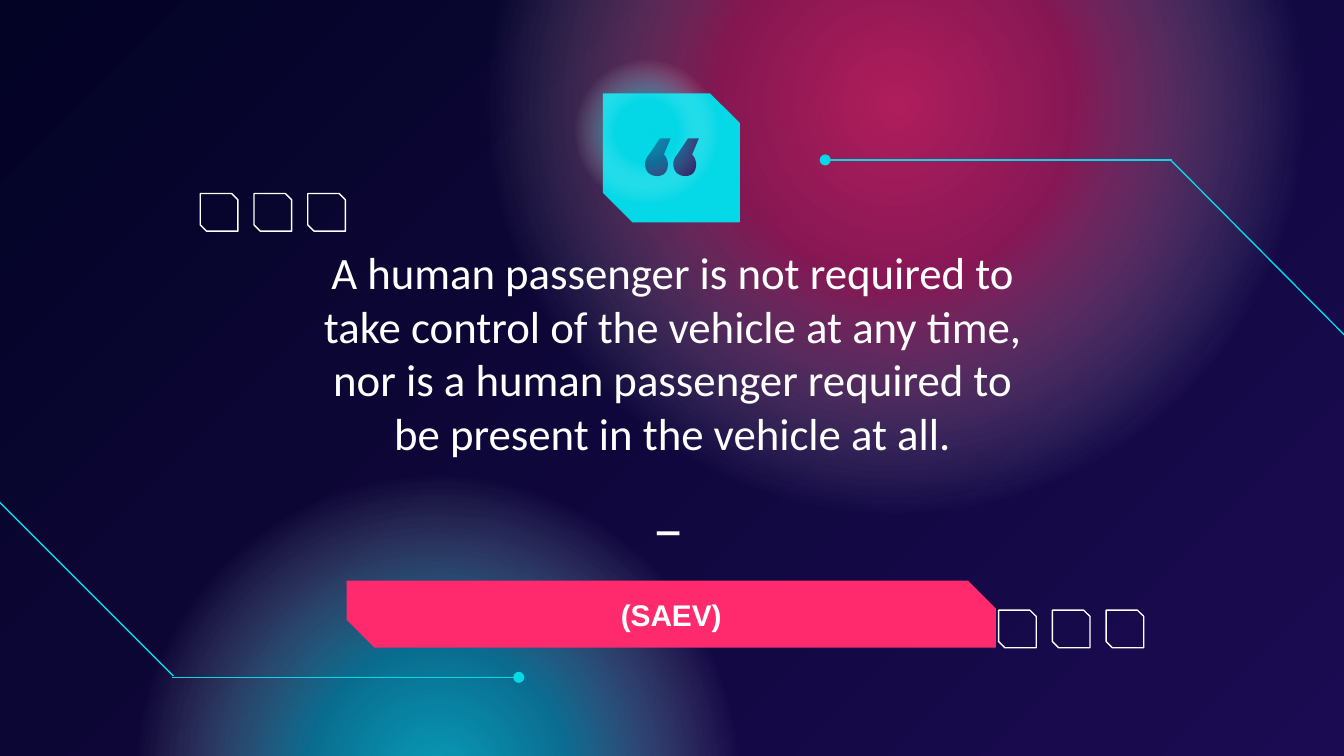
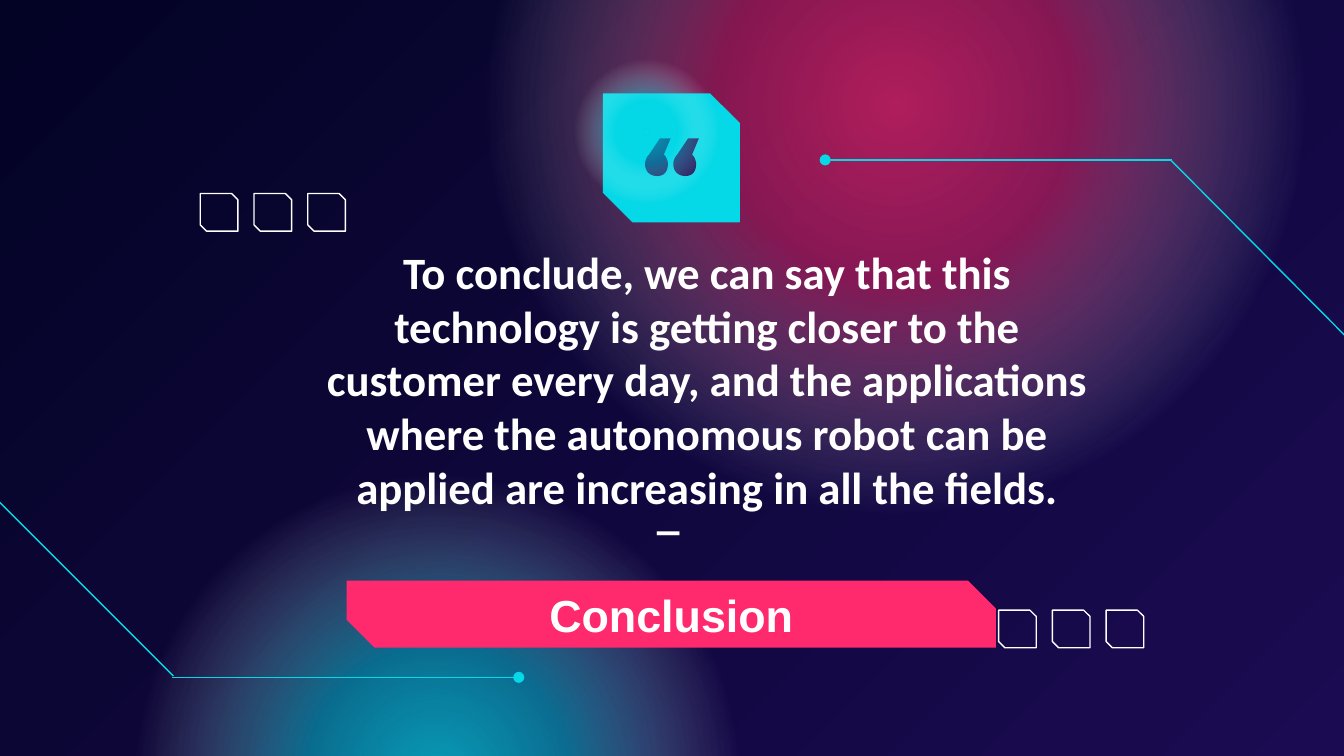
from pptx import Presentation
from pptx.dml.color import RGBColor
from pptx.enum.shapes import MSO_CONNECTOR, MSO_SHAPE
from pptx.enum.text import MSO_ANCHOR, PP_ALIGN
from pptx.oxml import parse_xml
from pptx.oxml.ns import nsdecls, qn
from pptx.util import Inches, Pt
from lxml import etree

NIGHT = RGBColor(0x03, 0x03, 0x25)
INDIGO = RGBColor(0x1B, 0x0B, 0x52)
PINK = RGBColor(0xFF, 0x29, 0x6D)
CYAN = RGBColor(0x05, 0xD8, 0xE7)
WHITE = RGBColor(0xFF, 0xFF, 0xFF)

CONTENT = [
    dict(quote="A human passenger is not required to take control of the vehicle at any time, "
               "nor is a human passenger required to be present in the vehicle at all.",
         quote_width=5.43, quote_bold=False, label="(SAEV)", label_size=16),
    dict(quote="To conclude, we can say that this technology is getting closer to the customer "
               "every day, and the applications where the autonomous robot can be applied are "
               "increasing in all the fields.",
         quote_width=5.94, quote_bold=True, label="Conclusion", label_size=24),
]

# Background glows: left, top, diameter, colour, opacity at centre and at 30 %
GLOWS = [(3.54, -2.35, 6.25, PINK, 67, 49), (0.95, 3.48, 4.6, CYAN, 71, 48)]
BADGE_GLOW = (4.26, 0.43, 1.1, CYAN, 71, 48)

# Circuit lines: start, end, dot at the end
CIRCUITS = [
    ((10.03, 2.52), (8.71, 1.19), False),
    ((8.72, 1.19), (6.14, 1.19), True),
    ((-0.03, 3.71), (1.29, 5.03), False),
    ((1.28, 5.04), (3.86, 5.04), True),
]

# Quote mark: top left corner, then the curves of its bulb, then top right corner
MARK_START, MARK_END = (4.91, 1.03), (4.99, 1.03)
BULB = [
    [(4.83, 1.15), (4.81, 1.17), (4.8, 1.2), (4.8, 1.22)],
    [(4.8, 1.22), (4.8, 1.28), (4.84, 1.31), (4.89, 1.31)],
    [(4.89, 1.31), (4.94, 1.31), (4.97, 1.28), (4.97, 1.22)],
    [(4.97, 1.22), (4.97, 1.2), (4.96, 1.17), (4.94, 1.15)],
]
MARK_STEP = 0.21
CURVE_STEPS = 8


def write(frame, text, font="Arial", size=16, bold=True, anchor=MSO_ANCHOR.MIDDLE,
          leading=None, after=0):
    frame.word_wrap = True
    frame.vertical_anchor = anchor
    frame.margin_left = frame.margin_right = Inches(0.1)
    frame.margin_top = frame.margin_bottom = Inches(0.1)
    paragraph = frame.paragraphs[0]
    paragraph.alignment = PP_ALIGN.CENTER
    paragraph.space_after = Pt(after)
    if leading:
        paragraph.line_spacing = Pt(leading)
    run = paragraph.add_run()
    run.text = text
    run.font.name = font
    run.font.size = Pt(size)
    run.font.bold = bold
    run.font.color.rgb = WHITE


def add_preset(slide, kind, left, top, width, height, fill=None, line=None, snip=None, glow=None):
    shape = slide.shapes.add_shape(kind, Inches(left), Inches(top), Inches(width), Inches(height))
    shape.shadow.inherit = False
    if snip:
        shape.adjustments[0] = 0
        shape.adjustments[1] = snip
    if line:
        shape.line.color.rgb = line
        shape.line.width = Pt(0.75)
    else:
        shape.line.fill.background()
    if fill:
        shape.fill.solid()
        shape.fill.fore_color.rgb = fill
    else:
        shape.fill.background()
    if glow:
        colour, centre, inner = glow
        stops = "".join(
            f'<a:gs pos="{pos * 1000}"><a:srgbClr val="{rgb}">'
            f'<a:alpha val="{alpha * 1000}"/></a:srgbClr></a:gs>'
            for pos, rgb, alpha in [(0, colour, centre), (30, colour, inner),
                                    (69, WHITE, 0), (100, WHITE, 0)])
        gradient = parse_xml(
            f'<a:gradFill {nsdecls("a")}><a:gsLst>{stops}</a:gsLst><a:path path="circle">'
            '<a:fillToRect l="50000" t="50000" r="50000" b="50000"/></a:path></a:gradFill>')
        properties = shape._element.spPr
        properties.replace(properties.find(qn("a:noFill")), gradient)
    return shape


# Widescreen, 16:9
prs = Presentation()
prs.slide_width = Inches(10)
prs.slide_height = Inches(10 * 9 / 16)

for content in CONTENT:
    slide = prs.slides.add_slide(prs.slide_layouts[6])

    # Background
    backdrop = slide.background.fill
    backdrop.gradient()
    backdrop.gradient_angle = 315
    for stop, colour, position in zip(backdrop.gradient_stops, (NIGHT, INDIGO), (0, 1)):
        stop.color.rgb = colour
        stop.position = position
    for left, top, diameter, *glow in GLOWS:
        add_preset(slide, MSO_SHAPE.OVAL, left, top, diameter, diameter, glow=glow)

    # Circuit lines
    for start, end, dotted in CIRCUITS:
        circuit = slide.shapes.add_connector(
            MSO_CONNECTOR.STRAIGHT, *(Inches(value) for value in start + end))
        circuit.line.color.rgb = CYAN
        circuit.line.width = Pt(0.75)
        properties = circuit._element.spPr
        if dotted:
            etree.SubElement(properties.find(qn("a:ln")), qn("a:tailEnd"), type="oval")
        etree.SubElement(properties, qn("a:effectLst"))

    # Label bar
    bar = add_preset(slide, MSO_SHAPE.SNIP_2_DIAG_RECTANGLE, 2.58, 4.32, 4.83, 0.5,
                     fill=PINK, snip=0.415)
    write(bar.text_frame, content["label"], size=content["label_size"])

    # Dash and quotation
    dash = slide.shapes.add_textbox(Inches(3.54), Inches(3.71), Inches(2.92), Inches(0.5))
    write(dash.text_frame, "— ", font="Roboto", size=18)
    quotation = slide.shapes.add_textbox(
        Inches(2.29), Inches(1.72), Inches(content["quote_width"]), Inches(1.41))
    write(quotation.text_frame, content["quote"], font="Calibri", size=24,
          bold=content["quote_bold"], anchor=MSO_ANCHOR.TOP, leading=28.8, after=12)

    # Quote badge
    add_preset(slide, MSO_SHAPE.SNIP_2_DIAG_RECTANGLE, 4.49, 0.7, 1.01, 0.95,
               fill=CYAN, line=CYAN, snip=0.23)
    outline = [MARK_START]
    for curve in BULB:
        for step in range(CURVE_STEPS + 1):
            t = step / CURVE_STEPS
            weights = ((1 - t) ** 3, 3 * t * (1 - t) ** 2, 3 * t ** 2 * (1 - t), t ** 3)
            outline.append(tuple(sum(w * v for w, v in zip(weights, axis))
                                 for axis in zip(*curve)))
    outline.append(MARK_END)
    first, second = ([(Inches(x + shift), Inches(y)) for x, y in outline]
                     for shift in (0, MARK_STEP))
    builder = slide.shapes.build_freeform(*first[0])
    builder.add_line_segments(first[1:], close=True)
    builder.move_to(*second[0])
    builder.add_line_segments(second[1:], close=True)
    quote_mark = builder.convert_to_shape()
    quote_mark.shadow.inherit = False
    quote_mark.fill.solid()
    quote_mark.fill.fore_color.rgb = INDIGO
    quote_mark.line.fill.background()
    left, top, diameter, *glow = BADGE_GLOW
    add_preset(slide, MSO_SHAPE.OVAL, left, top, diameter, diameter, glow=glow)

    # Rows of three small outlines
    for row_left, row_top in [(1.49, 1.44), (7.43, 4.54)]:
        for column in range(3):
            add_preset(slide, MSO_SHAPE.SNIP_2_DIAG_RECTANGLE, row_left + 0.4 * column, row_top,
                       0.28, 0.28, line=WHITE, snip=0.167)

prs.save("out.pptx")
